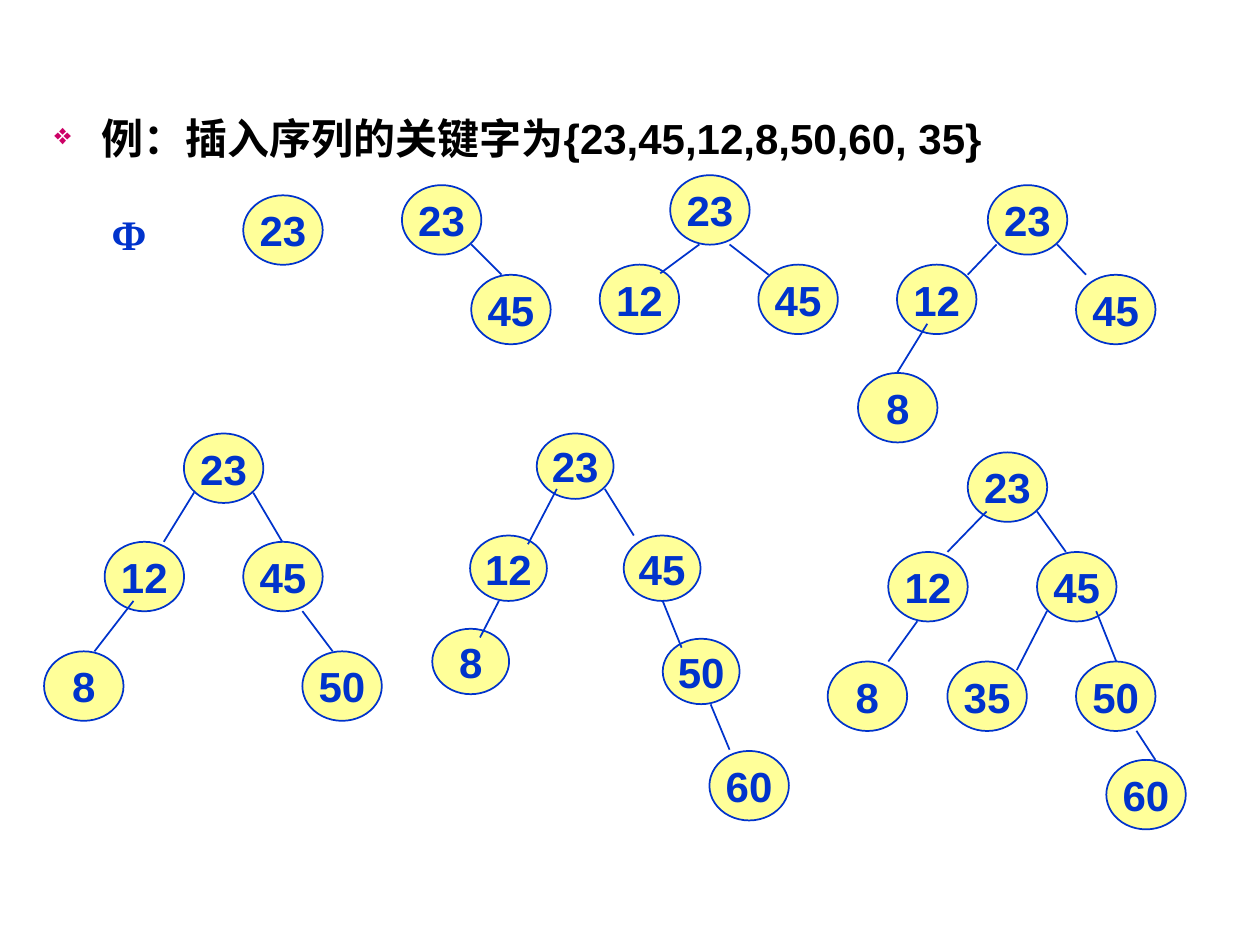
from typing import NamedTuple

from lxml import etree
from pptx import Presentation
from pptx import util as u
from pptx.dml.color import RGBColor
from pptx.enum import shapes, text
from pptx.oxml.ns import qn

BLUE = RGBColor(0x00, 0x33, 0xCC)
YELLOW = RGBColor(0xFF, 0xFF, 0x99)
BLACK = RGBColor(0x00, 0x00, 0x00)
MAGENTA = RGBColor(0xCC, 0x00, 0x66)

LARGE = (45.4, 39.7)
SMALL = (43.9, 37.4)
INDENT = 27


class Node(NamedTuple):
    key: int
    left: float
    top: float
    size: tuple[float, float] = LARGE


class Edge(NamedTuple):
    x1: float
    y1: float
    x2: float
    y2: float


class Tree(NamedTuple):
    nodes: list[Node]
    edges: list[Edge]


# One tree for each inserted key, all lengths in points
TREES = [
    Tree([Node(23, 139, 111.6)], []),
    Tree(
        [Node(45, 269.3, 157), Node(23, 229.7, 105.8)],
        [Edge(269.3, 139.7, 286.6, 157)],
    ),
    Tree(
        [Node(45, 433.4, 151.2), Node(23, 383, 100.1), Node(12, 342.7, 151.2)],
        [Edge(399.6, 139.7, 377.3, 156.2), Edge(416.9, 139.7, 439.2, 157)],
    ),
    Tree(
        [Node(45, 614.9, 157), Node(23, 564.5, 105.8),
         Node(12, 512.6, 151.2), Node(8, 490.3, 213.1)],
        [Edge(604.1, 139.7, 620.6, 157), Edge(569.5, 139.7, 553, 157),
         Edge(529.9, 185, 512.6, 213.1)],
    ),
    Tree(
        [Node(50, 172.8, 372.2), Node(23, 105.1, 247.7), Node(12, 59.8, 309.6),
         Node(45, 139, 309.6), Node(8, 25.2, 372.2)],
        [Edge(110.9, 281.5, 93.6, 309.6), Edge(144.7, 281.5, 161.3, 309.6),
         Edge(76.3, 343.4, 54, 372.2), Edge(172.8, 349.2, 190.1, 372.2)],
    ),
    Tree(
        [Node(60, 405.4, 429.1), Node(50, 378.7, 365, SMALL),
         Node(23, 306.7, 247.7, SMALL), Node(12, 268.6, 306, SMALL),
         Node(45, 356.4, 306, SMALL), Node(8, 247, 359.3, SMALL)],
        [Edge(318.2, 279.4, 301.7, 311), Edge(285.1, 343.4, 274.3, 364.3),
         Edge(345.6, 279.4, 362.2, 306), Edge(378.7, 343.4, 389.5, 370.1),
         Edge(406.1, 402.5, 416.9, 428.4)],
    ),
    Tree(
        [Node(60, 632.2, 434.2), Node(23, 553, 258.5), Node(12, 507.6, 315.4),
         Node(45, 592.6, 315.4), Node(8, 473, 378), Node(50, 614.9, 378),
         Node(35, 541.4, 378)],
        [Edge(563.8, 292.3, 541.4, 315.4), Edge(592.6, 292.3, 609.1, 315.4),
         Edge(524.2, 355, 507.6, 378), Edge(598.3, 349.2, 581, 383),
         Edge(626.4, 349.2, 637.9, 378), Edge(649.4, 417.6, 660.2, 434.2)],
    ),
]


def points(*lengths: float) -> list[u.Length]:
    return [u.Pt(length) for length in lengths]


def format_font(paragraph, color: RGBColor, name: str = "Arial") -> None:
    font = paragraph.font
    font.name, font.size, font.bold = name, u.Pt(24), True
    font.color.rgb = color


def write_label(shape, label: str, font_name: str = "Arial") -> None:
    frame = shape.text_frame
    frame.word_wrap = False
    frame.vertical_anchor = text.MSO_ANCHOR.MIDDLE
    paragraph = frame.paragraphs[0]
    paragraph.text = label
    paragraph.alignment = text.PP_ALIGN.CENTER
    format_font(paragraph, BLUE, font_name)


def draw_node(parent, node: Node) -> None:
    shape = parent.add_shape(
        shapes.MSO_SHAPE.OVAL, *points(node.left, node.top, *node.size))
    shape.shadow.inherit = False
    shape.fill.solid()
    shape.fill.fore_color.rgb = YELLOW
    shape.line.color.rgb = BLUE
    shape.line.width = u.Pt(1)
    write_label(shape, str(node.key))


def draw_edge(parent, edge: Edge) -> None:
    connector = parent.add_connector(
        shapes.MSO_CONNECTOR.STRAIGHT, *points(*edge))
    connector.line.color.rgb = BLUE
    connector.line.width = u.Pt(1)
    properties = connector._element.find(qn("p:spPr"))
    etree.SubElement(properties, qn("a:effectLst"))


def draw_tree(slide, tree: Tree) -> None:
    # A lone node needs no group
    parent = slide.shapes.add_group_shape().shapes if tree.edges else slide.shapes
    for node in tree.nodes:
        draw_node(parent, node)
    for edge in tree.edges:
        draw_edge(parent, edge)


def add_bullet(paragraph) -> None:
    properties = paragraph._p.get_or_add_pPr()
    properties.set("marL", str(u.Pt(INDENT)))
    properties.set("indent", str(u.Pt(-INDENT)))
    color = etree.SubElement(properties, qn("a:buClr"))
    etree.SubElement(color, qn("a:srgbClr"), val=str(MAGENTA))
    etree.SubElement(properties, qn("a:buSzPct"), val="70000")
    etree.SubElement(properties, qn("a:buChar"), char="❖")


def main() -> None:
    presentation = Presentation()
    presentation.slide_width, presentation.slide_height = points(720, 540)
    slide = presentation.slides.add_slide(presentation.slide_layouts[6])

    # Example statement
    statement = slide.shapes.add_textbox(*points(24, 60.5, 672, 453.5))
    statement.text_frame.word_wrap = True
    paragraph = statement.text_frame.paragraphs[0]
    paragraph.text = "例：插入序列的关键字为{23,45,12,8,50,60, 35}"
    add_bullet(paragraph)
    format_font(paragraph, BLACK)

    # Empty tree
    empty_tree = slide.shapes.add_textbox(*points(48.2, 116.6, 51, 34))
    write_label(empty_tree, "Φ", "Times New Roman")

    # Tree after each insertion
    for tree in TREES:
        draw_tree(slide, tree)

    presentation.save("out.pptx")


if __name__ == "__main__":
    main()
